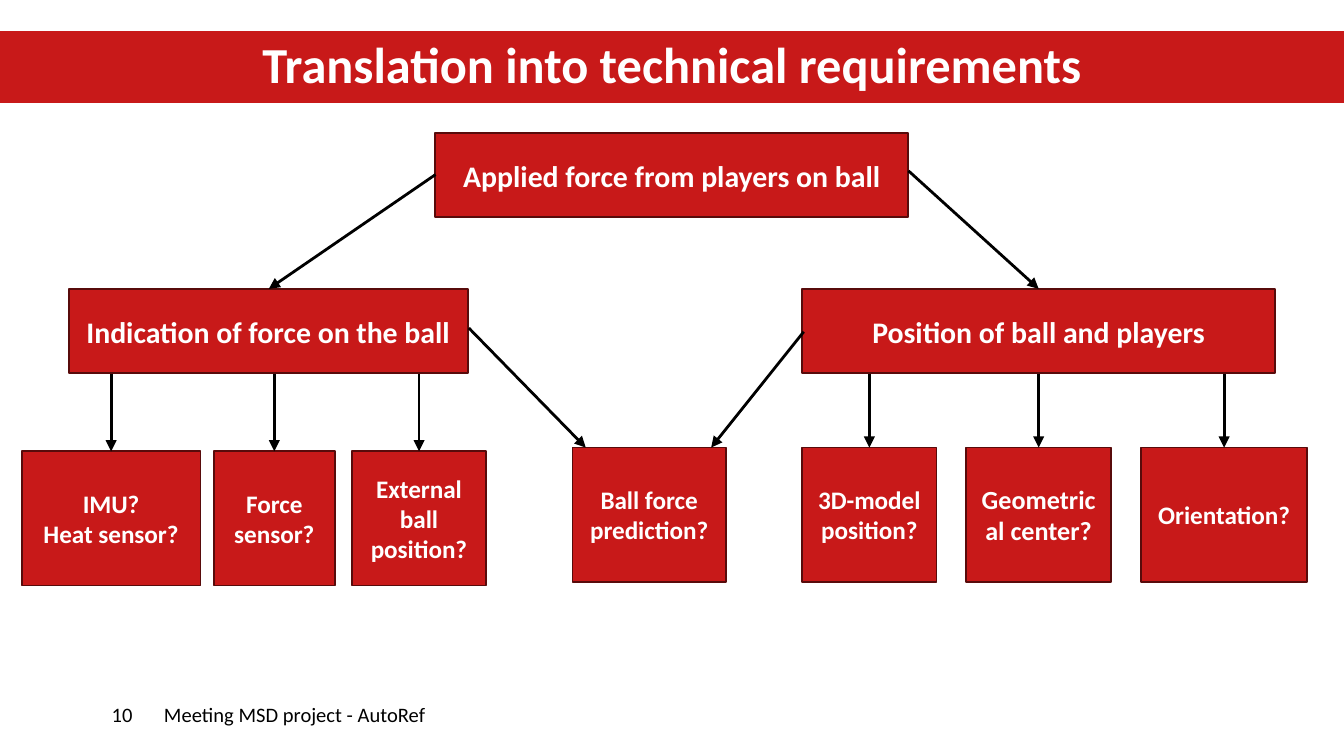
from lxml import etree
from pptx import Presentation
from pptx.dml.color import RGBColor
from pptx.enum.shapes import MSO_CONNECTOR, MSO_SHAPE
from pptx.enum.text import MSO_ANCHOR, MSO_AUTO_SIZE, PP_ALIGN
from pptx.oxml.ns import qn
from pptx.util import Cm, Pt

RED = RGBColor(0xC8, 0x19, 0x19)
DARK_RED = RGBColor(0x58, 0x0B, 0x0B)
WHITE = RGBColor(0xFF, 0xFF, 0xFF)
BLACK = RGBColor(0, 0, 0)
FONT = "Calibri"
RECT = MSO_SHAPE.RECTANGLE
STRAIGHT = MSO_CONNECTOR.STRAIGHT
TOP, MIDDLE = MSO_ANCHOR.TOP, MSO_ANCHOR.MIDDLE
LEFT, CENTER = PP_ALIGN.LEFT, PP_ALIGN.CENTER

# Box rows, in cm
PARENT_TOP, PARENT_H = 5.46, 1.6
LEFT_TOP, RIGHT_TOP, CHILD_H = 8.53, 8.46, 2.54

# Children: text, left, width, font size
FORCE_CHILDREN = [
    ("IMU?\nHeat sensor?", 0.41, 3.38, 13.5),
    ("Force sensor?", 4.04, 2.29, 13.5),
    ("External ball position?", 6.65, 2.54, 13.5),
]
POSITION_CHILDREN = [
    ("3D-model position?", 15.16, 2.54, 13.5),
    ("Geometrical center?", 18.26, 2.74, 14),
    ("Orientation?", 21.56, 3.15, 13.5),
]


def write(tf, text, size, color, bold=False, align=CENTER):
    for i, line in enumerate(text.split("\n")):
        p = tf.add_paragraph() if i else tf.paragraphs[0]
        p.alignment = align
        r = p.add_run()
        r.text = line
        r.font.name = FONT
        r.font.size = Pt(size)
        r.font.bold = bold
        r.font.color.rgb = color


def set_insets(tf, left=0):
    tf.margin_left = Cm(left)
    tf.margin_top = tf.margin_right = tf.margin_bottom = 0


def add_rect(s, x, y, w, h, fill, line=None):
    sp = s.shapes.add_shape(RECT, Cm(x), Cm(y), Cm(w), Cm(h))
    sp.shadow.inherit = False
    sp.fill.solid()
    sp.fill.fore_color.rgb = fill
    if line is None:
        sp.line.fill.background()
    else:
        sp.line.color.rgb = line
        sp.line.width = Pt(1)
    sp.text_frame.word_wrap = True
    sp.text_frame.vertical_anchor = MIDDLE
    return sp


def add_box(s, text, x, y, w, h, size=16):
    sp = add_rect(s, x, y, w, h, RED, DARK_RED)
    write(sp.text_frame, text, size, WHITE, bold=True)


def add_arrow(s, x1, y1, x2, y2):
    line = s.shapes.add_connector(STRAIGHT, Cm(x1), Cm(y1), Cm(x2), Cm(y2))
    line.line.color.rgb = BLACK
    line.line.width = Pt(1.5)
    etree.SubElement(line.line._get_or_add_ln(), qn("a:tailEnd"), type="triangle")
    etree.SubElement(line._element.spPr, qn("a:effectLst"))


def add_children(s, children, top):
    """Row of boxes, each with an arrow down from the parent box."""
    for text, x, w, size in children:
        add_box(s, text, x, top, w, CHILD_H, size)
        center = x + w / 2
        add_arrow(s, center, PARENT_TOP + PARENT_H, center, top)


def add_footer(s, text, x, w, inset=0):
    sp = add_rect(s, x, 12.7, w, 1.59, WHITE)
    set_insets(sp.text_frame, inset)
    write(sp.text_frame, text, 11, BLACK, align=LEFT)


def add_title(s, text):
    add_rect(s, 0, 0.61, 25.4, 1.32, RED, RED)
    title = s.shapes.title
    title.left, title.top, title.width, title.height = 0, Cm(0.81), Cm(25.4), Cm(1.19)
    tf = title.text_frame
    tf.auto_size = MSO_AUTO_SIZE.NONE
    tf.vertical_anchor = TOP
    set_insets(tf)
    write(tf, text, 27, WHITE, bold=True)
    tf.paragraphs[0].line_spacing = Pt(27)
    # Bring the title in front of its band
    s.shapes._spTree.append(title._element)


def main():
    prs = Presentation()
    prs.slide_width, prs.slide_height = Cm(25.4), Cm(14.29)
    s = prs.slides.add_slide(prs.slide_layouts[5])

    # Footer and title
    add_footer(s, "Meeting MSD project - AutoRef", 3.1, 19.56)
    add_footer(s, "10", 0, 3.1, inset=2.11)
    add_title(s, "Translation into technical requirements")

    # Top requirement and its two branches
    add_box(s, "Applied force from players on ball", 8.23, 2.51, 8.94, PARENT_H)
    add_box(s, "Indication of force on the ball", 1.3, PARENT_TOP, 7.54, PARENT_H)
    add_box(s, "Position of ball and players", 15.16, PARENT_TOP, 8.94, PARENT_H)
    add_arrow(s, 8.23, 3.3, 5.08, PARENT_TOP)
    add_arrow(s, 17.17, 3.23, 19.63, PARENT_TOP)

    # Technical requirements under each branch
    add_children(s, FORCE_CHILDREN, LEFT_TOP)
    add_children(s, POSITION_CHILDREN, RIGHT_TOP)

    # Prediction fed by both branches
    add_box(s, "Ball force prediction?", 10.82, RIGHT_TOP, 2.9, CHILD_H, 13.5)
    add_arrow(s, 8.86, 6.2, 11.07, RIGHT_TOP)
    add_arrow(s, 15.19, 6.27, 13.44, RIGHT_TOP)

    prs.save("out.pptx")


if __name__ == "__main__":
    main()
